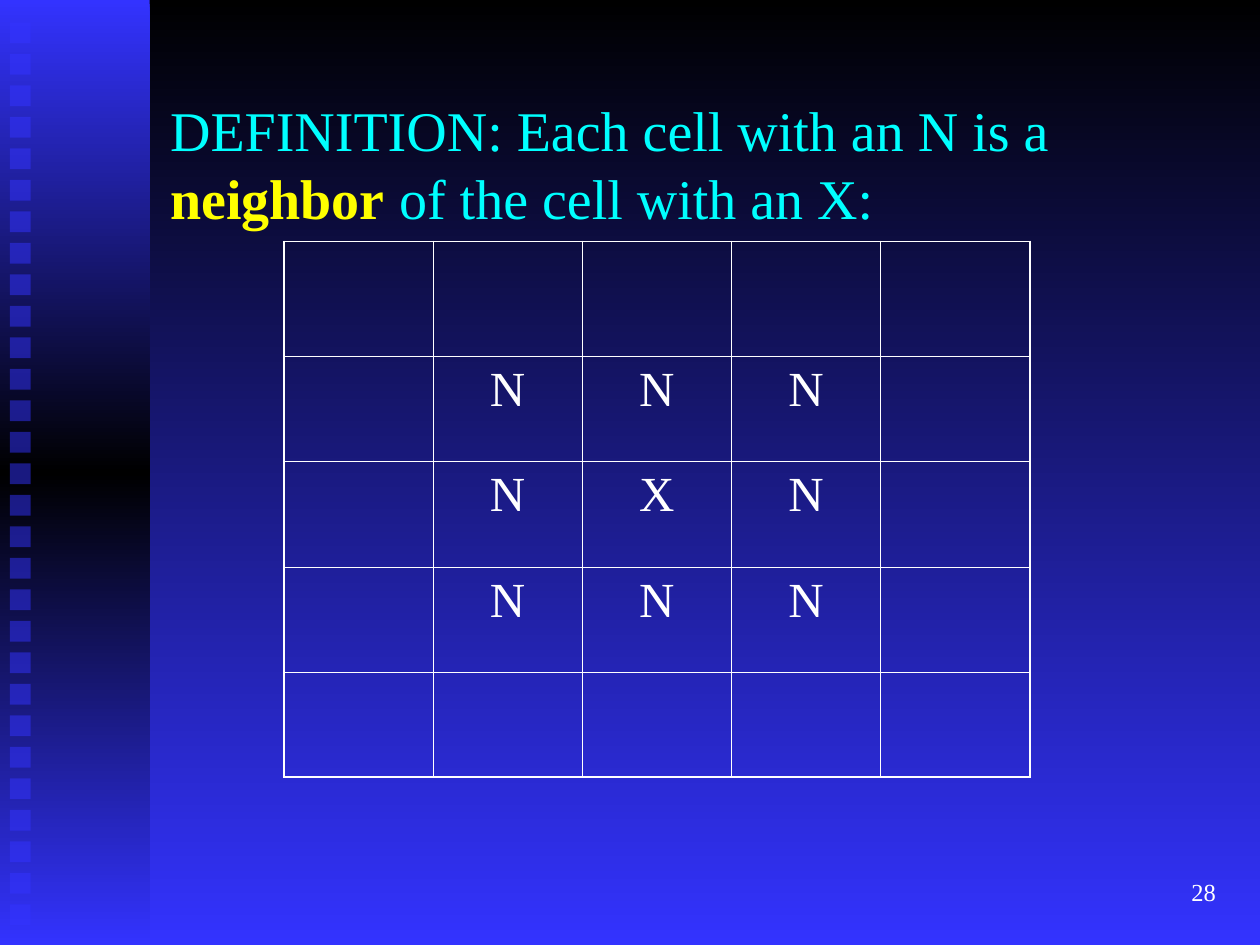
import copy

import pptx
import pptx.util
import pptx.dml.color
import pptx.enum.shapes
import pptx.enum.text
import pptx.oxml
import pptx.oxml.ns

Cm, Pt = pptx.util.Cm, pptx.util.Pt
RGB = pptx.dml.color.RGBColor
ALIGN = pptx.enum.text.PP_ALIGN
qn = pptx.oxml.ns.qn

BLACK = RGB(0x00, 0x00, 0x00)
BLUE = RGB(0x33, 0x33, 0xFF)
CYAN = RGB(0x00, 0xFF, 0xFF)
YELLOW = RGB(0xFF, 0xFF, 0x00)
WHITE = RGB(0xFF, 0xFF, 0xFF)
FONT = "Times New Roman"

TITLE = [
    ("DEFINITION: Each cell with an N is a ", CYAN, False),
    ("neighbor", YELLOW, True),
    (" of the cell with an X:", CYAN, False),
]
NUMBER = [("28", WHITE, False)]
GRID = ["     ", " NNN ", " NXN ", " NNN ", "     "]
ROWS = [2.32, 2.12, 2.12, 2.12, 2.12]
WIDTH = 15.04
THIN, THICK = 0.45, 1.08
COUNT, FIRST, LAST, SIDE = 29, 0.45, 18.23, 0.42


def shade(fill, root, hues):
    """Fill from top to bottom with evenly spaced hues."""
    fill.gradient()
    fill.gradient_angle = 270
    stops = next(root.iter(qn("a:gsLst")))
    while len(stops) < len(hues):
        stops.append(copy.deepcopy(stops[-1]))
    for i, (stop, hue) in enumerate(zip(fill.gradient_stops, hues)):
        stop.color.rgb = hue
        stop.position = i / (len(hues) - 1)


def write(frame, runs, size, align):
    para = frame.paragraphs[0]
    para.alignment = align
    for text, hue, bold in runs:
        run = para.add_run()
        run.text = text
        run.font.name = FONT
        run.font.size = Pt(size)
        run.font.bold = bold
        run.font.color.rgb = hue


def add_text(slide, area, runs, size, align):
    frame = slide.shapes.add_textbox(*map(Cm, area)).text_frame
    frame.word_wrap = True
    frame.vertical_anchor = pptx.enum.text.MSO_ANCHOR.MIDDLE
    write(frame, runs, size, align)


def add_rect(slide, *area):
    kind = pptx.enum.shapes.MSO_SHAPE.RECTANGLE
    rect = slide.shapes.add_shape(kind, *map(Cm, area))
    rect.shadow.inherit = False
    rect.line.fill.background()
    return rect


def add_band(slide):
    """Draw the shaded left band and its column of faint squares."""
    band = add_rect(slide, 0, 0, 3.02, 19.05)
    shade(band.fill, band._element, [BLUE, BLACK, BLUE])
    step = (LAST - FIRST) / (COUNT - 1)
    for i in range(COUNT):
        dot = add_rect(slide, 0.2, FIRST + i * step, SIDE, SIDE)
        dot.fill.solid()
        dot.fill.fore_color.rgb = BLUE
        hue = next(dot._element.spPr.iter(qn("a:srgbClr")))
        pptx.oxml.ns  # namespace helpers
        alpha = hue.makeelement(qn("a:alpha"), {"val": "50000"})
        hue.append(alpha)


def edge(cell, outer):
    """Rule the four sides of a cell, thicker on the outer ones."""
    props = cell._tc.get_or_add_tcPr()
    for i, side in enumerate("LRTB"):
        width = Pt(THICK if side in outer else THIN)
        line = pptx.oxml.parse_xml(
            f'<a:ln{side} {pptx.oxml.ns.nsdecls("a")} w="{width}">'
            f'<a:solidFill><a:srgbClr val="{WHITE}"/></a:solidFill>'
            f'</a:ln{side}>')
        props.insert(i, line)


def add_grid(slide):
    size = len(GRID)
    area = map(Cm, (5.72, 4.87, WIDTH, sum(ROWS)))
    table = slide.shapes.add_table(size, size, *area).table
    table.first_row = table.horz_banding = False
    for col in table.columns:
        col.width = Cm(WIDTH / size)
    for row, high in zip(table.rows, ROWS):
        row.height = Cm(high)
    end = size - 1
    for r, marks in enumerate(GRID):
        for c, mark in enumerate(marks):
            cell = table.cell(r, c)
            cell.fill.background()
            sides = {"L": c == 0, "R": c == end, "T": r == 0, "B": r == end}
            edge(cell, [side for side in sides if sides[side]])
            if mark != " ":
                write(cell.text_frame, [(mark, WHITE, False)], 28,
                      ALIGN.CENTER)


def main():
    deck = pptx.Presentation()
    deck.slide_width, deck.slide_height = Cm(25.4), Cm(19.05)
    slide = deck.slides.add_slide(deck.slide_layouts[6])
    shade(slide.background.fill, slide._element, [BLACK, BLUE])
    add_band(slide)
    add_text(slide, (3.18, 1.7, 21.59, 3.18), TITLE, 32, ALIGN.LEFT)
    add_grid(slide)
    add_text(slide, (19.48, 17.35, 5.28, 1.27), NUMBER, 14, ALIGN.RIGHT)
    deck.save("out.pptx")


if __name__ == "__main__":
    main()
